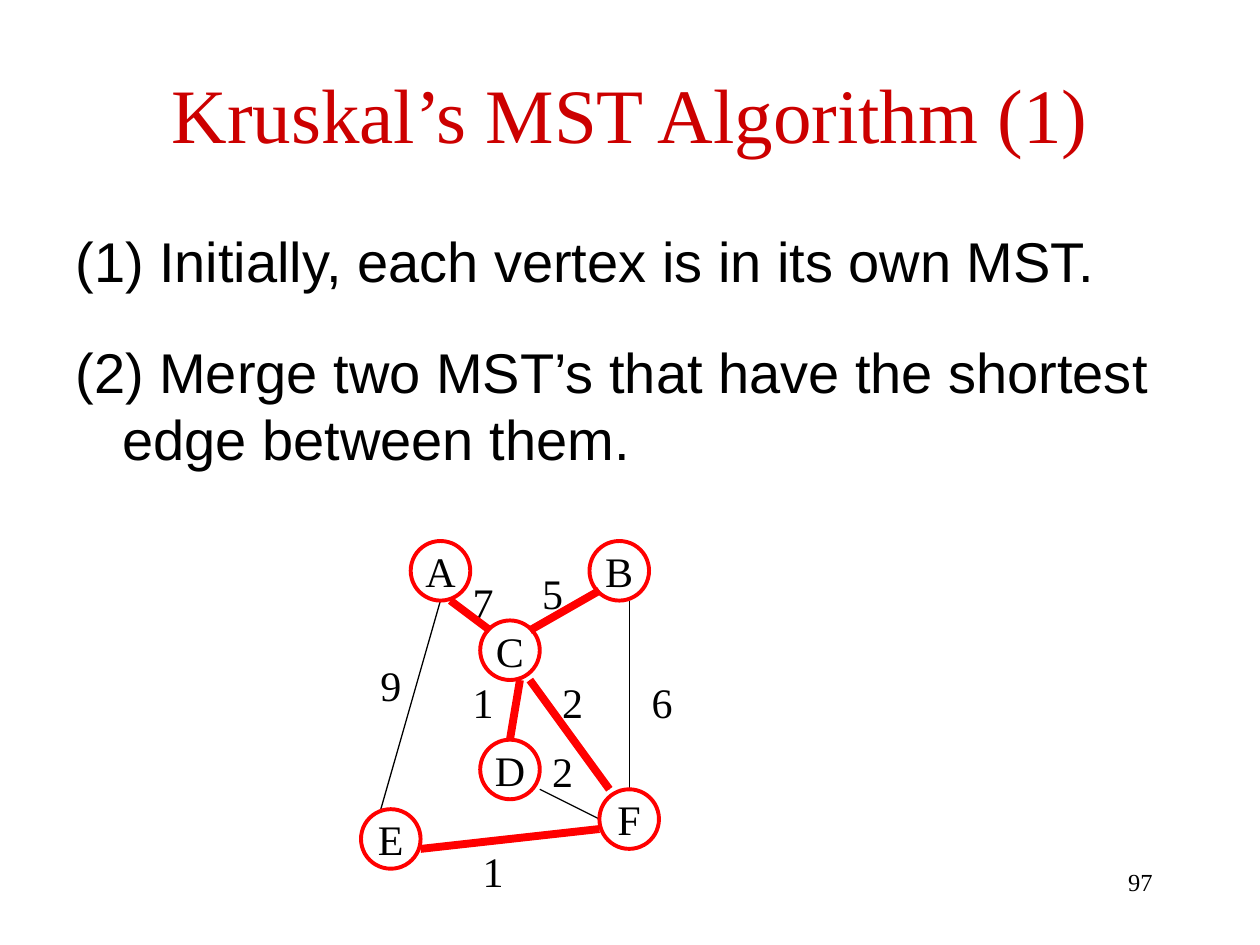
import pptx
import pptx.dml.color
import pptx.enum.shapes
import pptx.enum.text
import pptx.oxml.ns
import pptx.util
from lxml import etree

EMU_PER_PX = 914400 / 126
SERIF, SANS = "Times New Roman", "Arial"
BLACK, RED, TITLE_RED = "000000", "FF0000", "CC0000"
ALIGN = pptx.enum.text.PP_ALIGN
ANCHOR = pptx.enum.text.MSO_ANCHOR

NODES = {"A": (5, 0), "C": (12, 8), "B": (23, 0), "D": (12, 20), "F": (24, 25), "E": (0, 27)}
NODE_SIZE = 6
EDGES = [
    ("9", (0.7, 11.3), (8, 6), (2, 27), False),
    ("7", (10, 3), (9, 6), (13, 9), True),
    ("5", (17, 2), (17, 9), (24, 5), True),
    ("1", (10, 13), (16, 14), (15, 20), True),
    ("2", (19, 13), (17, 14), (25, 25), True),
    ("1", (11, 30), (6, 31), (24, 29), True),
    ("2", (18, 20), (18, 25), (24, 28), False),
    ("6", (28, 13), (27, 6), (27, 25), False),
]


def px(value):
    """Turn pixels into EMU."""
    return pptx.util.Emu(round(value * EMU_PER_PX))


def color(hex_value):
    """Turn a hex string into a colour."""
    return pptx.dml.color.RGBColor.from_string(hex_value)


def add_run(paragraph, text, size, font, hex_value):
    """Add one formatted run to a paragraph."""
    run = paragraph.add_run()
    run.text = text
    run.font.size = pptx.util.Pt(size)
    run.font.name = font
    run.font.color.rgb = color(hex_value)


def add_text(slide, box, text, size, hex_value=BLACK, align=ALIGN.LEFT, anchor=ANCHOR.TOP, wrap=True):
    """Place a text box with a single line of serif text."""
    frame = slide.shapes.add_textbox(*map(px, box)).text_frame
    frame.word_wrap = wrap
    frame.vertical_anchor = anchor
    paragraph = frame.paragraphs[0]
    paragraph.alignment = align
    add_run(paragraph, text, size, SERIF, hex_value)


def add_steps(slide, box, steps):
    """Place the steps as paragraphs with hanging indents."""
    frame = slide.shapes.add_textbox(*map(px, box)).text_frame
    frame.word_wrap = True
    for index, step in enumerate(steps):
        paragraph = frame.add_paragraph() if index else frame.paragraphs[0]
        paragraph.space_before = pptx.util.Pt(25 if index else 6.4)
        properties = paragraph._p.get_or_add_pPr()
        properties.set("marL", str(px(47)))
        properties.set("indent", str(px(-47)))
        add_run(paragraph, step, 32, SANS, BLACK)


def add_node(slide, box, hex_value, width, name=None):
    """Place an unfilled circle, with its name if given."""
    shape = slide.shapes.add_shape(pptx.enum.shapes.MSO_SHAPE.OVAL, *map(px, box))
    shape.shadow.inherit = False
    shape.fill.background()
    shape.line.color.rgb = color(hex_value)
    shape.line.width = pptx.util.Pt(width)
    if name:
        frame = shape.text_frame
        frame.word_wrap = False
        frame.vertical_anchor = ANCHOR.MIDDLE
        frame.paragraphs[0].alignment = ALIGN.CENTER
        add_run(frame.paragraphs[0], name, 24, SERIF, BLACK)


def add_edge(slide, start, end, hex_value, width):
    """Place a straight line between two points."""
    connector = slide.shapes.add_connector(
        pptx.enum.shapes.MSO_CONNECTOR.STRAIGHT, *map(px, (*start, *end)))
    connector.line.color.rgb = color(hex_value)
    connector.line.width = pptx.util.Pt(width)
    etree.SubElement(connector._element.spPr, pptx.oxml.ns.qn("a:effectLst"))


def add_graph(slide, left, top, width):
    """Place the weighted graph and mark its spanning tree in red."""
    unit = width / 30

    def point(position):
        """Turn grid units into a place on the slide."""
        return left + position[0] * unit, top + position[1] * unit

    def node_box(position):
        """Give the box of a node."""
        return (*point(position), NODE_SIZE * unit, NODE_SIZE * unit)

    for name, position in NODES.items():
        add_node(slide, node_box(position), BLACK, 0.75, name)
    for _, _, start, end, _ in EDGES:
        add_edge(slide, point(start), point(end), BLACK, 0.75)
    for weight, position, _, _, _ in EDGES:
        add_text(slide, (*point(position), 47, 63), weight, 24, wrap=False)
    for _, _, start, end, in_tree in EDGES:
        if in_tree:
            add_edge(slide, point(start), point(end), RED, 4.5)
    for position in NODES.values():
        add_node(slide, node_box(position), RED, 2.25)


def main():
    """Build the slide and save it."""
    presentation = pptx.Presentation()
    presentation.slide_width = px(1260)
    presentation.slide_height = px(945)
    slide = presentation.slides.add_slide(presentation.slide_layouts[6])
    add_text(slide, (903, 861, 262, 63), "97", 14, align=ALIGN.RIGHT)
    add_text(slide, (63, 50, 1134, 126), "Kruskal’s MST Algorithm (1)", 44,
             TITLE_RED, ALIGN.CENTER, ANCHOR.MIDDLE)
    add_steps(slide, (63, 220, 1134, 630), [
        "(1) Initially, each vertex is in its own MST.",
        "(2) Merge two MST’s that have the shortest edge between them.",
    ])
    add_graph(slide, 361, 541, 298)
    presentation.save("out.pptx")


if __name__ == "__main__":
    main()
